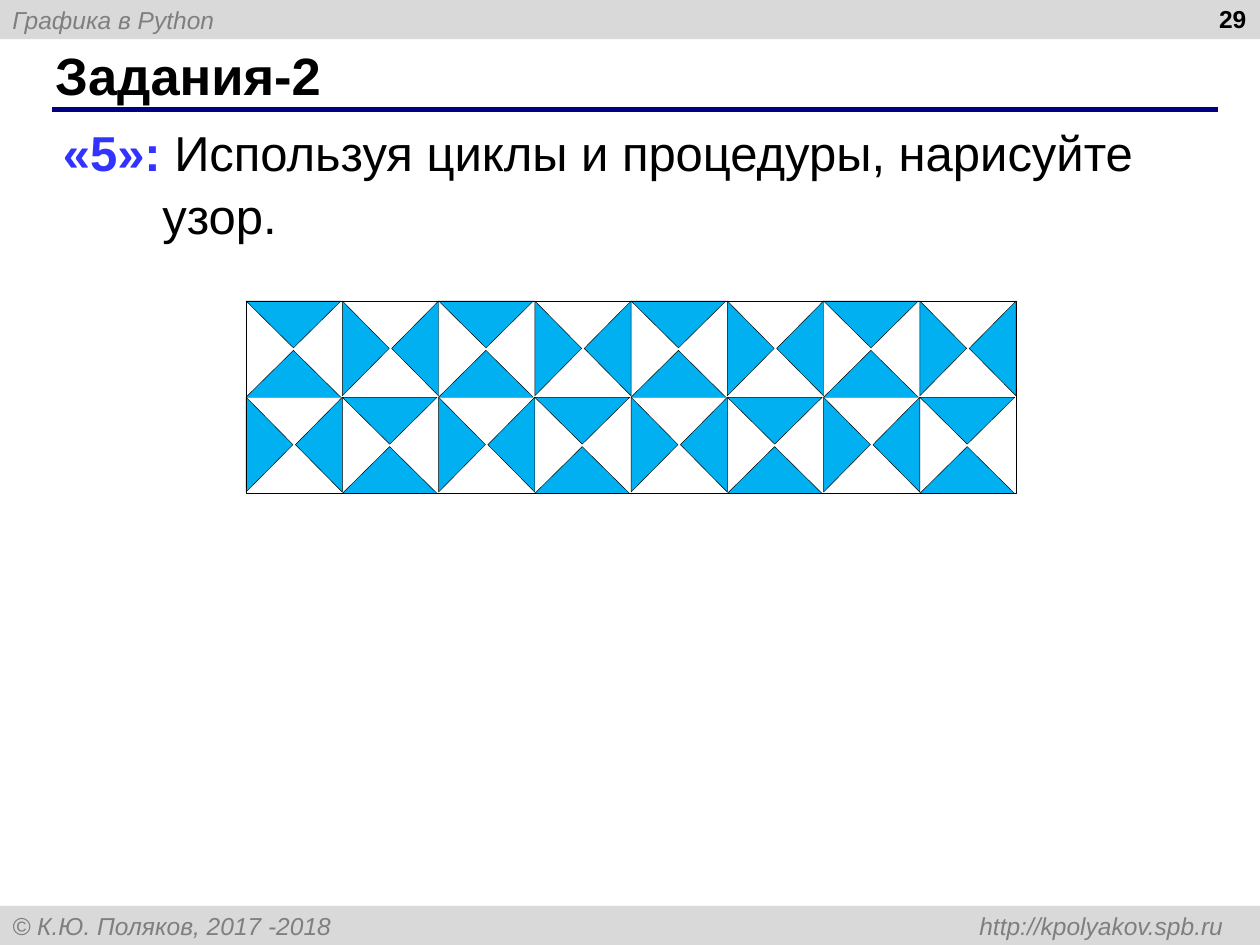
from dataclasses import dataclass

from lxml import etree
from pptx import Presentation
from pptx import util as u
from pptx.dml.color import RGBColor
from pptx.enum import shapes, text
from pptx.oxml import ns

COLORS = {
    "band": "D9D9D9",
    "muted": "7F7F7F",
    "rule": "000080",
    "ink": "000000",
    "accent": "3333FF",
    "tile": "00B0F0",
}
FONT = "Arial"
BAND_HEIGHT = 22.4
COLUMNS, ROWS = 8, 2
PATTERN_LEFT, PATTERN_TOP = 140.6, 172
CELL = 55
BASE, HEIGHT = 54.2, 26.8


@dataclass(frozen=True)
class Area:
    left: float
    top: float
    width: float
    height: float

    def lengths(self) -> tuple:
        return tuple(u.Pt(v) for v in (self.left, self.top, self.width, self.height))


@dataclass(frozen=True)
class Triangle:
    """Centre offset inside a pattern cell, and rotation in degrees."""
    x: float
    y: float
    rotation: int


MIDDLE, NEAR, FAR = BASE / 2, HEIGHT / 2, BASE - HEIGHT / 2 + 0.8
VERTICAL = (Triangle(MIDDLE, NEAR, 180), Triangle(MIDDLE, FAR, 0))
HORIZONTAL = (Triangle(NEAR, MIDDLE, 90), Triangle(FAR, MIDDLE, 270))


def color(name: str) -> RGBColor:
    return RGBColor.from_string(COLORS[name])


def add_span(para, content: str, *, size: float, ink: str = "ink",
             bold: bool = False, italic: bool = False) -> None:
    span = para.add_run()
    span.text = content
    font = span.font
    font.name, font.size = FONT, u.Pt(size)
    font.bold, font.italic = bold, italic
    font.color.rgb = color(ink)


def add_box(page, area: Area, anchor=text.MSO_ANCHOR.TOP):
    """Add a wrapping text box and return its first paragraph."""
    frame = page.shapes.add_textbox(*area.lengths()).text_frame
    frame.word_wrap = True
    frame.vertical_anchor = anchor
    return frame.paragraphs[0]


def add_shape(parent, kind, area: Area, *, fill: str = "", line: str = ""):
    shape = parent.shapes.add_shape(kind, *area.lengths())
    shape.shadow.inherit = False
    if fill:
        shape.fill.solid()
        shape.fill.fore_color.rgb = color(fill)
    else:
        shape.fill.background()
    if line:
        shape.line.color.rgb = color(line)
        shape.line.width = u.Pt(0.25)
    else:
        shape.line.fill.background()
    return shape


def add_band(page, top: float, content: str, right_tab: float = 0) -> None:
    band = add_shape(page, shapes.MSO_SHAPE.RECTANGLE,
                     Area(0, top, 720, BAND_HEIGHT), fill="band")
    band.text_frame.vertical_anchor = text.MSO_ANCHOR.MIDDLE
    para = band.text_frame.paragraphs[0]
    para.alignment = text.PP_ALIGN.LEFT
    if right_tab:
        tabs = etree.SubElement(para._p.get_or_add_pPr(), ns.qn("a:tabLst"))
        etree.SubElement(tabs, ns.qn("a:tab"), pos=str(u.Pt(right_tab)), algn="r")
    add_span(para, content, size=14, ink="muted", italic=True)


def add_rule(page, left: float, right: float, top: float) -> None:
    rule = page.shapes.add_connector(shapes.MSO_CONNECTOR.STRAIGHT,
                                     u.Pt(left), u.Pt(top), u.Pt(right), u.Pt(top))
    rule.line.color.rgb = color("rule")
    rule.line.width = u.Pt(3)
    etree.SubElement(rule._element.spPr, ns.qn("a:effectLst"))


def add_pattern(page) -> None:
    """Draw the framed grid, alternating the two kinds of cell like a chessboard."""
    group = page.shapes.add_group_shape()
    for row in range(ROWS):
        for column in range(COLUMNS):
            for part in (HORIZONTAL if (row + column) % 2 else VERTICAL):
                left = PATTERN_LEFT + column * CELL + part.x - BASE / 2
                top = PATTERN_TOP + row * CELL + part.y - HEIGHT / 2
                triangle = add_shape(group, shapes.MSO_SHAPE.ISOSCELES_TRIANGLE,
                                     Area(left, top, BASE, HEIGHT),
                                     fill="tile", line="ink")
                triangle.rotation = part.rotation
    add_shape(group, shapes.MSO_SHAPE.RECTANGLE,
              Area(PATTERN_LEFT, PATTERN_TOP, COLUMNS * CELL, ROWS * CELL), line="ink")


def main() -> None:
    deck = Presentation()
    deck.slide_width, deck.slide_height = u.Pt(720), u.Pt(540)
    page = deck.slides.add_slide(deck.slide_layouts[6])

    add_band(page, 0, "Графика в Python")
    add_band(page, 540 - BAND_HEIGHT,
             "© К.Ю. Поляков, 2017 -2018\thttp://kpolyakov.spb.ru", right_tab=692)
    add_rule(page, 29.6, 696, 62.5)

    title = add_box(page, Area(24.5, 23.8, 659.5, 37.4), text.MSO_ANCHOR.MIDDLE)
    add_span(title, "Задания-2", size=30, bold=True)

    number = add_box(page, Area(551.5, -1.4, 167.8, 37.4))
    number.alignment = text.PP_ALIGN.RIGHT
    add_span(number, "29", size=14, bold=True)

    task = add_box(page, Area(28.8, 64.1, 663, 212.4))
    indent = task._p.get_or_add_pPr()
    indent.set("marL", str(u.Pt(56.9)))
    indent.set("indent", str(u.Pt(-56.9)))
    task.line_spacing = 1.07
    add_span(task, "«5»: ", size=28, ink="accent", bold=True)
    add_span(task, "Используя циклы и процедуры, нарисуйте узор.", size=28)

    add_pattern(page)
    deck.save("out.pptx")


if __name__ == "__main__":
    main()
